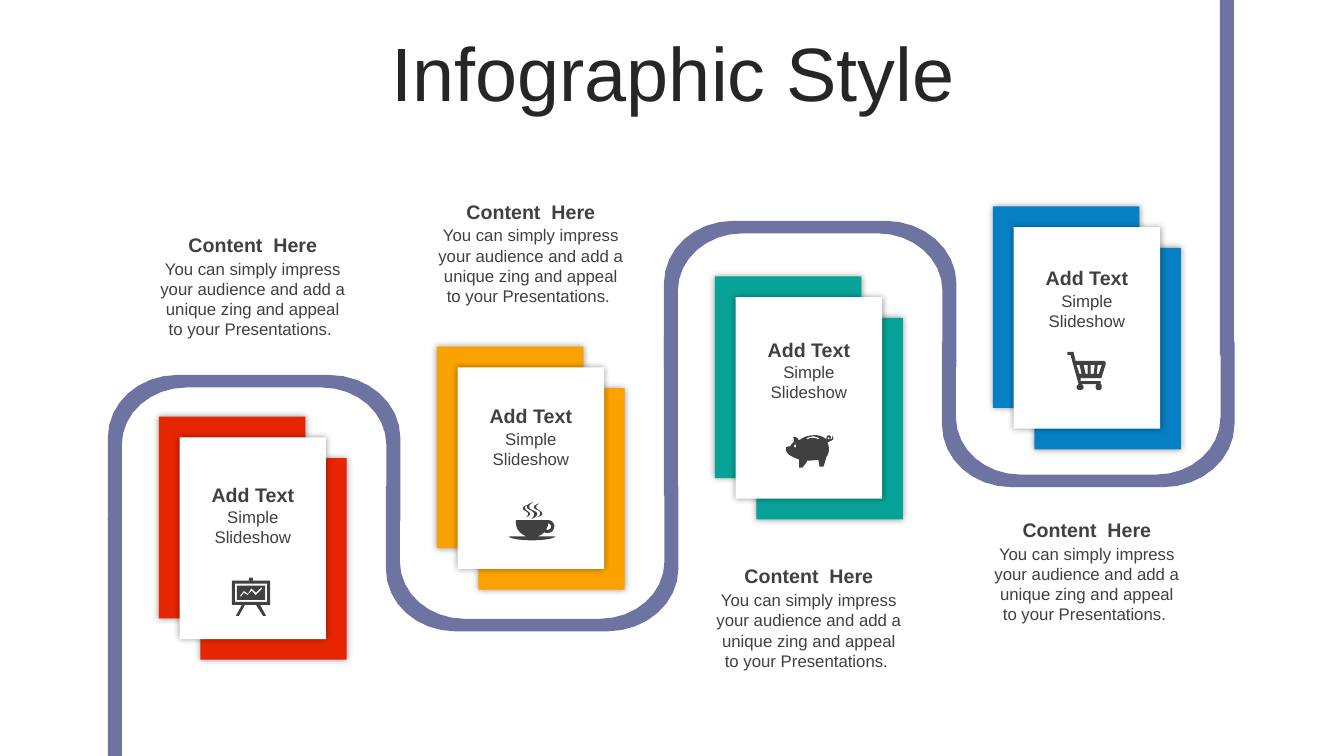
"""Build the winding-road infographic slide with four stacked cards."""
from dataclasses import dataclass

from lxml.etree import SubElement
from pptx import Presentation
from pptx.dml.color import RGBColor
from pptx.enum.shapes import MSO_SHAPE
from pptx.enum.text import MSO_ANCHOR, MSO_AUTO_SIZE, PP_ALIGN
from pptx.oxml.ns import qn
from pptx.shapes.autoshape import Shape
from pptx.slide import Slide
from pptx.text.text import TextFrame
from pptx.util import Pt

ROAD = "6E74A2"
DARK = "404040"
PITCH = 198.6
BAND = 10
ARCH_H = 104
ROAD_X = 77
CARD_W, CARD_H = 104.6, 144
SHIFT = 14.8
ICON_UNIT = 0.72
STEPS = 8
BODY = ("You can simply impress your audience and add a "
        "unique zing and appeal to your Presentations. ")

ARCH = """M 50 0 L 158 0 C 186 0 209 20 209 45 L 209 104 199 104 199 50
C 199 27 178 9 153 9 L 56 9 C 31 9 10 27 10 50 L 10 104 0 104 0 45
C 0 20 22 0 50 0"""

BOARD = """M 30 10 L 29 10 24 15 20 11 19 11 16 16 13 14 12 13 8 18 9 19
12 15 15 17 16 17 20 13 23 17 24 17 30 11 M 5 8 L 33 8 33 22 5 22
M 3 6 L 3 24 35 24 35 6
M 19 0 C 20 0 21 0 21 1 L 21 3 38 3 38 27 28 27 34 38 31 38 24 27 13 27
7 38 4 38 10 27 0 27 0 3 17 3 17 1 C 17 0 18 0 19 0"""

CUP = """M 39 21 C 39 23 38 25 37 27 38 28 39 28 40 27 41 27 42 25 42 24
41 22 40 21 39 21
M 39 18 C 42 18 44 20 45 23 45 26 44 29 41 30 39 31 37 31 35 30
34 31 33 32 31 33 30 33 29 34 28 34 L 46 34 C 46 36 35 38 23 38
10 38 0 36 0 34 L 18 34 C 17 34 15 33 15 33 9 30 6 24 7 18
M 18 3 C 17 4 15 5 16 6 16 9 21 9 21 12 20 14 19 14 17 15
18 14 19 13 19 12 19 9 15 9 14 7 13 5 15 4 18 3
M 30 1 C 28 3 27 3 27 5 27 8 33 8 33 12 32 14 31 14 28 15
30 14 31 13 31 11 31 8 27 8 25 6 24 4 26 3 30 1
M 24 0 C 22 2 20 2 20 5 21 9 28 8 28 12 27 15 26 15 22 17
24 15 25 14 25 12 25 9 20 8 18 6 17 3 19 2 24 0"""

PIG = """M 9 9 C 8 9 8 10 8 11 8 11 8 12 9 12 10 12 10 11 10 11 10 10 10 9 9 9
M 42 2 C 42 2 41 2 41 3 41 3 42 4 42 4 43 4 43 3 43 3 43 2 43 2 42 2
M 27 1 C 24 1 22 2 20 3 L 21 4 C 24 2 29 2 32 4 L 33 3 C 31 2 29 1 27 1
M 26 0 C 31 -1 37 1 40 4 L 41 6 C 41 6 41 5 41 5 40 4 40 4 40 3
40 1 41 0 42 0 44 0 45 1 44 3 44 3 44 3 44 4 45 3 46 4 46 0
48 4 46 5 43 6 43 6 42 7 41 7 L 42 10 C 43 15 42 19 40 21
39 25 38 28 37 31 L 33 31 C 33 29 32 26 32 24 28 25 23 25 21 25
20 27 18 30 16 32 L 13 32 C 13 31 13 26 13 24 8 22 -2 19 0 12
0 11 2 11 4 11 5 9 6 8 8 6 8 5 7 3 7 2 11 1 11 3 13 5 16 2 22 0 26 0"""

CART = """M 30 13 L 29 22 31 22 34 13 M 23 13 L 23 22 26 22 27 13
M 16 13 L 18 22 20 22 20 13 M 9 13 L 12 22 14 22 12 13
M 6 0 L 8 9 36 9 C 38 9 38 11 38 12 L 34 25 C 34 26 33 26 33 26
L 13 26 13 29 33 29 33 32 C 34 32 34 34 34 35 34 37 33 38 31 38
29 38 28 37 28 35 28 34 28 32 30 32 L 14 32 C 15 33 16 34 16 35
16 37 14 38 12 38 11 38 9 37 9 35 9 34 10 33 11 32 L 3 3 0 3 0 0"""


@dataclass
class Stop:
    """One stop on the road: its card, icon, texts and arch."""
    color: str
    icon: str
    icon_x: float
    icon_y: float
    label_y: float
    note_y: float
    arch_y: float


STOPS = [
    Stop("E62601", BOARD, 165.6, 412.6, 341.3, 162.7, 267.8),
    Stop("FBA200", CUP, 363.6, 358.6, 285.1, 139, 347),
    Stop("07A398", PIG, 561.6, 311, 237.6, 399.6, 157.7),
    Stop("0680C3", CART, 762.5, 251.3, 186.5, 366.5, 244),
]


def paint(shape: Shape, color: str) -> None:
    """Fill a shape with a hex colour, without line or shadow."""
    shape.shadow.inherit = False
    shape.fill.solid()
    shape.fill.fore_color.rgb = RGBColor.from_string(color)
    shape.line.fill.background()


def block(slide: Slide, x: float, y: float, w: float, h: float,
          color: str) -> Shape:
    """Draw a plain rectangle."""
    shape = slide.shapes.add_shape(
        MSO_SHAPE.RECTANGLE, Pt(x), Pt(y), Pt(w), Pt(h))
    paint(shape, color)
    return shape


def glow(shape: Shape) -> None:
    """Put a soft black shadow all around a shape."""
    effects = shape._element.spPr.find(qn("a:effectLst"))
    shade = SubElement(effects, qn("a:outerShdw"), blurRad=str(Pt(5)),
                       dist="0", dir="0", algn="ctr", rotWithShape="0")
    black = SubElement(shade, qn("a:srgbClr"), val="000000")
    SubElement(black, qn("a:alpha"), val="40000")


def curve(a: tuple, b: tuple, c: tuple, d: tuple) -> list[tuple]:
    """Return points along a cubic curve after its start."""
    spots = []
    for step in range(1, STEPS + 1):
        t = step / STEPS
        s = 1 - t
        spots.append(tuple(
            s**3 * p + 3 * s * s * t * q + 3 * s * t * t * u + t**3 * v
            for p, q, u, v in zip(a, b, c, d)))
    return spots


def rings(code: str) -> list[list[tuple]]:
    """Turn outline code into closed rings of points."""
    found, mode, nums = [], "M", []
    for token in code.split():
        if token.isalpha():
            mode = token
            continue
        nums.append(float(token))
        if len(nums) < (6 if mode == "C" else 2):
            continue
        spots = list(zip(nums[::2], nums[1::2]))
        nums = []
        if mode == "M":
            found.append(spots)
        elif mode == "L":
            found[-1] += spots
        else:
            found[-1] += curve(found[-1][-1], *spots)
    return found


def trace(slide: Slide, code: str, x: float, y: float, color: str,
          unit: float = 1, flip: float = 0) -> None:
    """Draw outline code at a place, upside down if flip gives a height."""
    loops = [[(Pt(px * unit), Pt((flip - py if flip else py) * unit))
              for px, py in ring] for ring in rings(code)]
    pen = slide.shapes.build_freeform(*loops[0][0], scale=1.0)
    for index, loop in enumerate(loops):
        if index:
            pen.move_to(*loop[0])
        pen.add_line_segments(loop[1:], close=True)
    paint(pen.convert_to_shape(Pt(x), Pt(y)), color)


def write(frame: TextFrame, text: str, *, size: float, color: str = DARK,
          bold: bool = False) -> None:
    """Put one centred Arial paragraph in a frame."""
    frame.word_wrap = True
    para = frame.paragraphs[0]
    para.alignment = PP_ALIGN.CENTER
    run = para.add_run()
    run.text = text
    run.font.name = "Arial"
    run.font.size = Pt(size)
    run.font.bold = bold
    run.font.color.rgb = RGBColor.from_string(color)


def label(slide: Slide, mid: float, y: float, w: float, h: float,
          text: str, **style) -> None:
    """Add a text box centred on a column."""
    box = slide.shapes.add_textbox(Pt(mid - w / 2), Pt(y), Pt(w), Pt(h))
    write(box.text_frame, text, **style)
    box.text_frame.auto_size = MSO_AUTO_SIZE.SHAPE_TO_FIT_TEXT


def main() -> None:
    """Build and save the slide."""
    deck = Presentation()
    deck.slide_width, deck.slide_height = Pt(960), Pt(540)
    slide = deck.slides.add_slide(deck.slide_layouts[5])
    title = slide.shapes.title
    title.left, title.top = Pt(25.2), Pt(26.6)
    title.width, title.height = Pt(911.5), Pt(56.9)
    write(title.text_frame, "Infographic Style", size=54, color="262626")
    title.text_frame.auto_size = MSO_AUTO_SIZE.NONE
    title.text_frame.vertical_anchor = MSO_ANCHOR.MIDDLE
    title.text_frame.paragraphs[0].line_spacing = 0.9

    for x, y, h in ((0, 370, 170), (2, 240, 114), (4, 0, 254)):
        block(slide, ROAD_X + x * PITCH, y, BAND, h, ROAD)
    for i, stop in enumerate(STOPS):
        trace(slide, ARCH, ROAD_X + i * PITCH, stop.arch_y, ROAD,
              flip=ARCH_H * (i % 2))
        mid = 180.6 + i * PITCH
        left, top = mid - CARD_W / 2, 312.5 - 50.1 * i
        for move, color in ((SHIFT, stop.color), (-SHIFT, stop.color),
                            (0, "FFFFFF")):
            glow(block(slide, left + move, top + move, CARD_W, CARD_H, color))
        label(slide, mid, stop.label_y, 87, 24.5, "Add Text",
              size=14, bold=True)
        label(slide, mid, stop.label_y + 17.3, 87, 36, "Simple Slideshow",
              size=12)
        label(slide, mid, stop.note_y, 150.5, 24.5, "Content  Here",
              size=14, bold=True)
        label(slide, mid, stop.note_y + 18.3, 148.3, 65.5, BODY, size=12)
        trace(slide, stop.icon, stop.icon_x, stop.icon_y, DARK, ICON_UNIT)
    deck.save("out.pptx")


if __name__ == "__main__":
    main()
